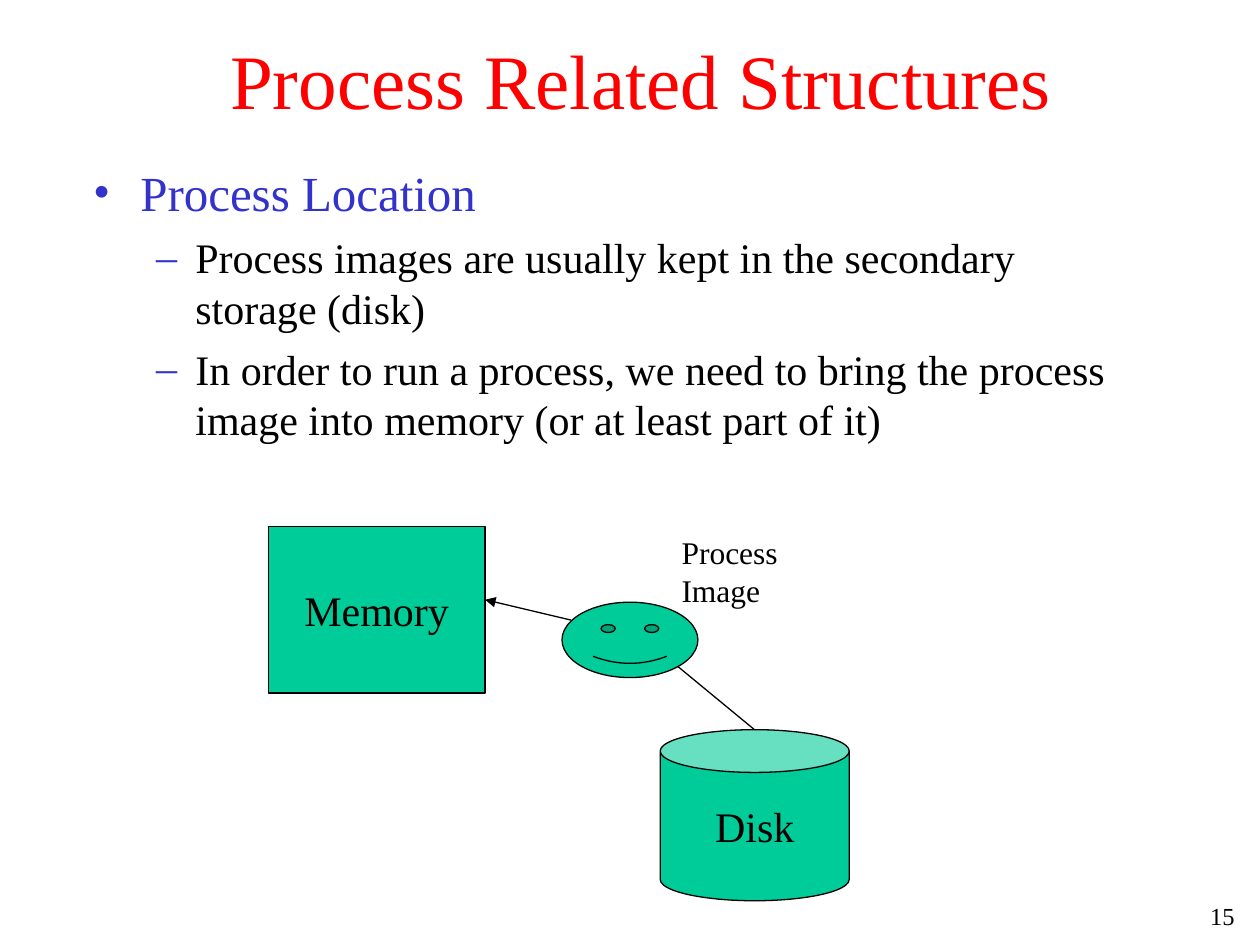
from dataclasses import dataclass
from lxml import etree
from pptx import Presentation
from pptx import util as u
from pptx.dml.color import RGBColor
from pptx.enum import shapes, text
from pptx.oxml.ns import qn


@dataclass(frozen=True)
class Theme:
    font: str = "Times New Roman"
    red: str = "FF0000"
    blue: str = "3333CC"
    black: str = "000000"
    green: str = "00CC99"
    title: int = 44
    heading: int = 28
    body: int = 24
    label: int = 18
    number: int = 14
    line: float = 0.74


T = Theme()
SHAPE, ALIGN, ANCHOR = shapes.MSO_SHAPE, text.PP_ALIGN, text.MSO_ANCHOR

TITLE = "Process Related Structures"
BULLETS = [
    (0, "Process Location"),
    (1, "Process images are usually kept in the secondary storage (disk)"),
    (1, "In order to run a process, we need to bring the process image "
        "into memory (or at least part of it)"),
]
LEVELS = [
    dict(size=T.heading, color=T.blue, bullet="•", left=0.95, hang=0.95, before=7),
    dict(size=T.body, color=T.black, bullet="–", left=2.06, hang=0.79, before=6),
]
NODES = [
    (SHAPE.CAN, (13.31, 14.71, 3.81, 3.45), 0.25, "Disk"),
    (SHAPE.RECTANGLE, (5.41, 10.62, 4.37, 3.35), None, "Memory"),
    (SHAPE.SMILEY_FACE, (11.33, 12.14, 2.74, 1.52), 0.093, None),
]
LINES = [
    ((13.67, 13.44), (15.21, 14.71), False),
    ((11.51, 12.5), (9.78, 12.09), True),
]

prs = Presentation()
prs.slide_width, prs.slide_height = u.Cm(25.4), u.Cm(19.05)
s = prs.slides.add_slide(prs.slide_layouts[6])


def cm(values):
    return [u.Cm(v) for v in values]


def rgb(code):
    return RGBColor.from_string(code)


def write(tf, content, size=T.body, color=T.black, align=ALIGN.LEFT,
          first=True, bullet=None, left=0, hang=0, before=0):
    p = tf.paragraphs[0] if first else tf.add_paragraph()
    p.alignment = align
    p.space_before = u.Pt(before)
    r = p.add_run()
    r.text = content
    r.font.name, r.font.size = T.font, u.Pt(size)
    r.font.color.rgb = rgb(color)
    if bullet:
        pr = p._p.get_or_add_pPr()
        pr.set("marL", str(u.Cm(left)))
        pr.set("indent", str(-u.Cm(hang)))
        clr = etree.SubElement(pr, qn("a:buClr"))
        etree.SubElement(clr, qn("a:srgbClr"), val=T.blue)
        etree.SubElement(pr, qn("a:buFont"), typeface=T.font)
        etree.SubElement(pr, qn("a:buChar"), char=bullet)
    return p


def text_box(box, anchor=ANCHOR.TOP):
    tf = s.shapes.add_textbox(*cm(box)).text_frame
    tf.word_wrap = True
    tf.vertical_anchor = anchor
    return tf


def node(kind, box, adjust, label):
    sp = s.shapes.add_shape(kind, *cm(box))
    sp.shadow.inherit = False
    sp.fill.solid()
    sp.fill.fore_color.rgb = rgb(T.green)
    sp.line.color.rgb, sp.line.width = rgb(T.black), u.Pt(T.line)
    if adjust is not None:
        sp.adjustments[0] = adjust
    if label:
        tf = sp.text_frame
        tf.word_wrap = False
        tf.vertical_anchor = ANCHOR.MIDDLE
        write(tf, label, align=ALIGN.CENTER)


def link(start, end, arrow):
    c = s.shapes.add_connector(shapes.MSO_CONNECTOR.STRAIGHT, *cm(start + end))
    c.line.color.rgb, c.line.width = rgb(T.black), u.Pt(T.line)
    if arrow:
        etree.SubElement(c.line._get_or_add_ln(), qn("a:tailEnd"), type="triangle")
    etree.SubElement(c._element.spPr, qn("a:effectLst"))


write(text_box((2.13, 0, 21.59, 3.18), ANCHOR.MIDDLE), TITLE,
      size=T.title, color=T.red, align=ALIGN.CENTER)

body = text_box((1.63, 3.15, 21.59, 14.25))
for i, (level, line) in enumerate(BULLETS):
    p = write(body, line, first=i == 0, **LEVELS[level])
    p.level = level

for item in NODES:
    node(*item)
for item in LINES:
    link(*item)

caption = text_box((13.49, 10.62, 2.59, 2.54))
for i, line in enumerate(["Process", "Image"]):
    write(caption, line, size=T.label, first=i == 0)

write(text_box((23.77, 18.03, 1.37, 1.02)), "15", size=T.number, align=ALIGN.RIGHT)

prs.save("out.pptx")
